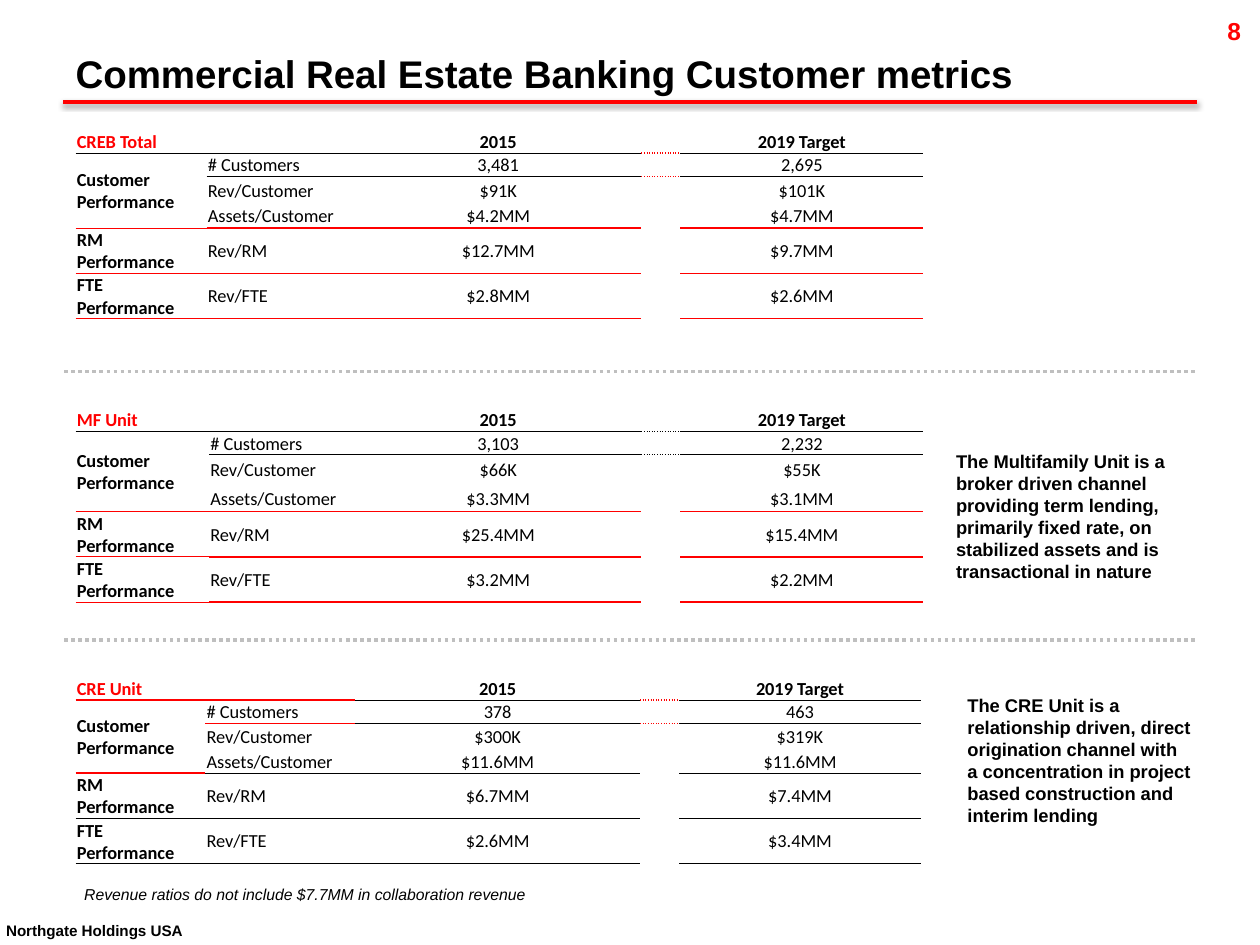
import lxml.etree
import pptx
import pptx.dml.color
import pptx.enum.dml
import pptx.enum.shapes
import pptx.enum.text
import pptx.oxml
import pptx.oxml.ns
import pptx.util

Inches = pptx.util.Inches
Pt = pptx.util.Pt
ALIGN = pptx.enum.text.PP_ALIGN
ANCHOR = pptx.enum.text.MSO_ANCHOR
RED, BLACK, GRAY = "FF0000", "000000", "BFBFBF"
PLAIN_TABLE = "{2D5ABB26-0587-4C30-8999-92F81FD0307C}"
MEASURES = ["# Customers", "Rev/Customer", "Assets/Customer", "Rev/RM", "Rev/FTE"]
GROUPS = {1: "Customer Performance", 4: "RM\nPerformance", 5: "FTE\nPerformance"}
SPACER = 3

UNITS = [
    {
        "name": "CREB Total", "top": 1.03,
        "columns": [1.04, 1.18, 2.27, 0.31, 1.93],
        "rows": [0.14, 0.16, 0.22, 0.19, 0.23, 0.23],
        "2015": ["3,481", "$91K", "$4.2MM", "$12.7MM", "$2.8MM"],
        "2019 Target": ["2,695", "$101K", "$4.7MM", "$9.7MM", "$2.6MM"],
        "name_rule": (BLACK, 0.5), "gap_rule": (RED, 1, "dot"), "body_rule": (RED, 1),
    },
    {
        "name": "MF Unit", "top": 3.24,
        "columns": [1.06, 1.16, 2.27, 0.31, 1.93],
        "rows": [0.16, 0.18, 0.24, 0.21, 0.28, 0.28],
        "2015": ["3,103", "$66K", "$3.3MM", "$25.4MM", "$3.2MM"],
        "2019 Target": ["2,232", "$55K", "$3.1MM", "$15.4MM", "$2.2MM"],
        "name_rule": (BLACK, 0.5), "gap_rule": (BLACK, 0.5, "dot"), "body_rule": (RED, 1),
    },
    {
        "name": "CRE Unit", "top": 5.37,
        "columns": [1.03, 1.19, 2.26, 0.31, 1.92],
        "rows": [0.17, 0.16, 0.21, 0.18, 0.29, 0.29],
        "2015": ["378", "$300K", "$11.6MM", "$6.7MM", "$2.6MM"],
        "2019 Target": ["463", "$319K", "$11.6MM", "$7.4MM", "$3.4MM"],
        "name_rule": (RED, 1), "gap_rule": (RED, 1, "dot"), "body_rule": (BLACK, 0.5),
    },
]


def color(value):
    """Turn a hex string into a colour."""
    return pptx.dml.color.RGBColor.from_string(value)


def set_font(font, size, name="Arial", fill=BLACK, bold=False, italic=False):
    """Set the face, size, colour and weight of a font."""
    font.name, font.size, font.bold, font.italic = name, Pt(size), bold, italic
    font.color.rgb = color(fill)


def add_text(page, left, top, width, height, text, size, wrap=True, **style):
    """Add a text box holding one paragraph."""
    box = page.shapes.add_textbox(Inches(left), Inches(top), Inches(width), Inches(height))
    frame = box.text_frame
    frame.word_wrap = wrap
    frame.auto_size = pptx.enum.text.MSO_AUTO_SIZE.SHAPE_TO_FIT_TEXT
    frame.text = text
    set_font(frame.paragraphs[0].font, size, **style)
    return frame


def add_title(page, text):
    """Place and format the title placeholder."""
    title = page.shapes.title
    title.left, title.top = Inches(0.5), Inches(0.34)
    title.width, title.height = Inches(9), Inches(0.47)
    frame = title.text_frame
    frame.text = text
    frame.vertical_anchor = ANCHOR.BOTTOM
    frame.auto_size = pptx.enum.text.MSO_AUTO_SIZE.SHAPE_TO_FIT_TEXT
    para = frame.paragraphs[0]
    para.alignment = ALIGN.LEFT
    set_font(para.font, 22, bold=True)


def add_rule(page, left, top, fill):
    """Add a nine-inch horizontal line and return it with its effect list."""
    rule = page.shapes.add_connector(
        pptx.enum.shapes.MSO_CONNECTOR.STRAIGHT,
        Inches(left), Inches(top), Inches(left + 9), Inches(top))
    rule.line.color.rgb = color(fill)
    rule.line.width = Pt(2)
    properties = rule._element.spPr
    effects = lxml.etree.SubElement(properties, pptx.oxml.ns.qn("a:effectLst"))
    return rule, effects


def add_shadow(effects):
    """Add a soft black shadow below a line."""
    effects.append(pptx.oxml.parse_xml(
        f'<a:outerShdw {pptx.oxml.ns.nsdecls("a")} blurRad="{Pt(3.1)}" dist="{Pt(1.6)}" '
        f'dir="5400000" rotWithShape="0"><a:srgbClr val="{BLACK}">'
        '<a:alpha val="38000"/></a:srgbClr></a:outerShdw>'))


def set_border(cell, side, rule):
    """Draw the top (T) or bottom (B) border of a cell."""
    fill, width, dash = (*rule, "solid")[:3]
    cell._tc.get_or_add_tcPr().append(pptx.oxml.parse_xml(
        f'<a:ln{side} {pptx.oxml.ns.nsdecls("a")} w="{Pt(width)}"><a:solidFill>'
        f'<a:srgbClr val="{fill}"/></a:solidFill><a:prstDash val="{dash}"/></a:ln{side}>'))


def rule_below(unit, row, column):
    """Give the rule under a cell, or None."""
    if row == 0:
        if column == SPACER:
            return unit["gap_rule"]
        return unit["name_rule"] if column < 2 else (BLACK, 0.5)
    if row < 3 or column == SPACER:
        return None
    fill, width = unit["body_rule"]
    return fill, 0.5 if column == 0 else width


def cell_text(unit, row, column):
    """Give the wording of a cell."""
    if column == 0:
        return GROUPS.get(row, "") if row else unit["name"]
    if column == 1:
        return MEASURES[row - 1] if row else ""
    if column == SPACER:
        return ""
    year = "2015" if column == 2 else "2019 Target"
    return unit[year][row - 1] if row else year


def fill_cell(cell, unit, row, column):
    """Write and format one cell with its borders."""
    cell.margin_left = cell.margin_right = cell.margin_top = Inches(0.01)
    cell.margin_bottom = 0
    cell.vertical_anchor = ANCHOR.MIDDLE
    cell.text = cell_text(unit, row, column)
    for para in cell.text_frame.paragraphs:
        para.alignment = ALIGN.CENTER if column > 1 else ALIGN.LEFT
        set_font(para.font, 10.5 if cell.text else 1, "Calibri",
                 RED if row == column == 0 else BLACK, bold=row == 0 or column == 0)
    above = rule_below(unit, row - 1, column) if row else None
    for side, rule in (("T", above), ("B", rule_below(unit, row, column))):
        if rule:
            set_border(cell, side, rule)
    cell.fill.background()


def add_metrics(page, unit):
    """Add the metrics table of one unit."""
    columns, rows = unit["columns"], unit["rows"]
    table = page.shapes.add_table(
        len(rows), len(columns), Inches(0.6), Inches(unit["top"]),
        Inches(sum(columns)), Inches(sum(rows))).table
    table.first_row = table.horz_banding = False
    table._tbl.tblPr.find(pptx.oxml.ns.qn("a:tableStyleId")).text = PLAIN_TABLE
    for column, width in zip(table.columns, columns):
        column.width = Inches(width)
    for row, height in zip(table.rows, rows):
        row.height = Inches(height)
    for row in range(len(rows)):
        for column in range(len(columns)):
            fill_cell(table.cell(row, column), unit, row, column)
    table.cell(0, 0).merge(table.cell(0, 1))
    table.cell(1, 0).merge(table.cell(3, 0))


def main():
    """Build and save the slide."""
    deck = pptx.Presentation()
    deck.slide_width, deck.slide_height = Inches(10), Inches(7.5)
    page = deck.slides.add_slide(deck.slide_layouts[5])

    number = add_text(page, 9.55, 0.08, 0.36, 0.34, "8", 14, wrap=False, fill=RED, bold=True)
    number.margin_left = number.margin_right = Inches(0.06)
    number.paragraphs[0].alignment = ALIGN.RIGHT
    add_shadow(add_rule(page, 0.5, 0.81, RED)[1])
    footer = add_text(page, -0.05, 7.24, 1.91, 0.35, "Northgate Holdings USA", 15,
                      wrap=False, bold=True)
    footer.vertical_anchor = ANCHOR.MIDDLE
    footer.paragraphs[0].runs[0].font._element.set("baseline", "30000")

    add_title(page, "Commercial Real Estate Banking Customer metrics")
    for unit in UNITS:
        add_metrics(page, unit)
    for top in (2.95, 5.08):
        divider = add_rule(page, 0.51, top, GRAY)[0]
        divider.line.dash_style = pptx.enum.dml.MSO_LINE.ROUND_DOT

    add_text(page, 7.58, 5.46, 1.98, 1.34,
             "The CRE Unit is a relationship driven, direct origination channel with "
             "a concentration in project based construction and interim lending", 10.5, bold=True)
    add_text(page, 7.49, 3.52, 2.07, 1.16,
             "The Multifamily Unit is a broker driven channel providing term lending, primarily "
             "fixed rate, on stabilized assets and is transactional in nature", 10.5, bold=True)
    add_text(page, 0.57, 6.97, 6.23, 0.25,
             "Revenue ratios do not include $7.7MM in collaboration revenue", 9, italic=True)
    deck.save("out.pptx")


if __name__ == "__main__":
    main()
